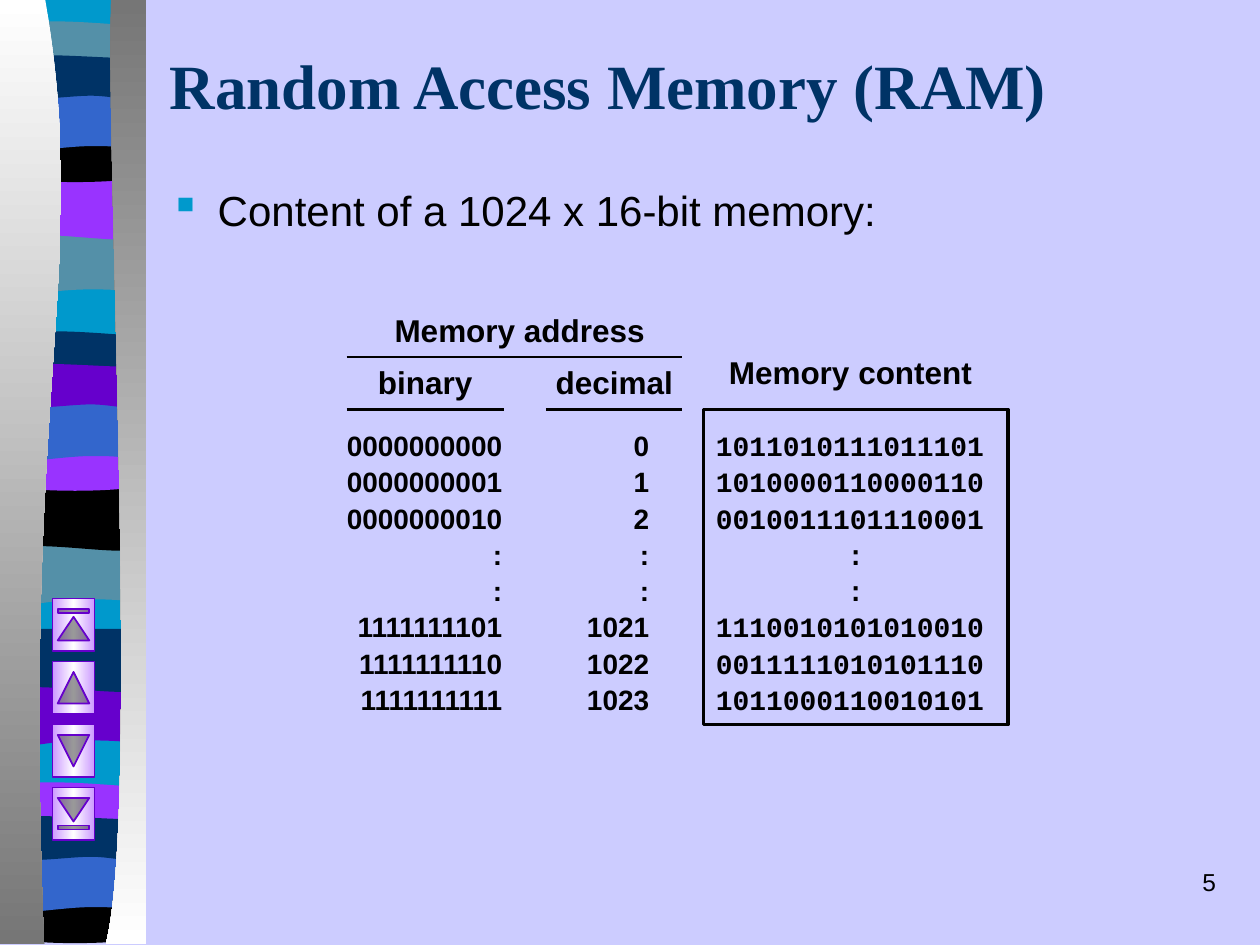
import copy
import dataclasses

import lxml.etree
import pptx
import pptx.dml.color
import pptx.enum.shapes
import pptx.enum.text
import pptx.oxml.ns
import pptx.util

SHAPE = pptx.enum.shapes.MSO_SHAPE
ALIGN = pptx.enum.text.PP_ALIGN
CELL = pptx.util.Inches(1) / 12
FINE_CELL = pptx.util.Inches(0.01)
COLUMNS, ROWS = 120, 90


@dataclasses.dataclass(frozen=True)
class Theme:
    """Colours and text formats of the slide."""
    background: str = "CCCCFF"
    ink: str = "000000"
    navy: str = "003366"
    cyan: str = "0099CC"
    teal: str = "5490A8"
    violet: str = "9933FF"
    purple: str = "6600CC"
    blue: str = "3366CC"
    shade: tuple = ("FFFFFF", "767676")
    button: tuple = ("CC99FF", "FFFFFF", "CC99FF")
    title = {"name": "Times New Roman", "size": pptx.util.Pt(36), "bold": True}
    body = {"name": "Arial", "size": pptx.util.Pt(24), "bold": False}
    heading = {"name": "Arial", "size": pptx.util.Pt(18), "bold": True}
    address = {"name": "Arial", "size": pptx.util.Pt(16), "bold": True}
    content = {"name": "Courier New", "size": pptx.util.Pt(16), "bold": True}
    number = {"name": "Arial", "size": pptx.util.Pt(14), "bold": False}
    pitch = pptx.util.Pt(20.7)


THEME = Theme()
BAND_LEFT, BAND_RIGHT = 5, 114
BAND_EDGES = {
    "tail": ([], 47, [(39, 39, 23, 55, 5, 47)]),
    "swell": ([], 48, [(96, 55, 39, 42, 5, 48)]),
    "cap": ([(12, -5, 29, -4, 47, -4), (65, -4, 100, -1, 114, 0)], 24,
            [(96, 28, 24, 28, 5, 24)]),
    "bowl": ([(72, 5, 91, 0, 114, 0)], 32, [(96, 38, 23, 38, 5, 32)]),
    "arch": ([], 47, [(97, 42, 90, 42, 72, 42), (54, 42, 22, 47, 5, 47)]),
    "ridge": ([(21, -5, 79, 0, 97, 0), (115, 0, 110, 0, 114, 0)], 30,
              [(107, 36, 90, 30, 72, 30), (54, 30, 17, 36, 5, 30)]),
}
BANDS = [
    ("tail", 185, THEME.teal), ("swell", 140, THEME.violet), ("cap", 21, THEME.teal),
    ("bowl", 108, THEME.ink), ("arch", 74, THEME.blue), ("ridge", 46, THEME.navy),
    ("tail", 431, THEME.teal), ("swell", 387, THEME.ink), ("cap", 267, THEME.navy),
    ("bowl", 353, THEME.violet), ("arch", 320, THEME.blue), ("ridge", 291, THEME.purple),
    ("tail", 543, THEME.purple), ("swell", 499, THEME.navy), ("cap", 625, THEME.violet),
    ("bowl", 712, THEME.ink), ("arch", 678, THEME.blue), ("ridge", 650, THEME.navy),
]
CONTENT = ["1011010111011101", "1010000110000110", "0010011101110001", ":", ":",
           "1110010101010010", "0011111010101110", "1011000110010101"]
DECIMAL = ["0", "1", "2", ":", ":", "1021", "1022", "1023"]
BINARY = ["0000000000", "0000000001", "0000000010", ":", ":",
          "1111111101", "1111111110", "1111111111"]


def color(value):
    """Return a colour object for a hexadecimal value."""
    return pptx.dml.color.RGBColor.from_string(value)


def part(box, left, top, width, height):
    """Return a box in cells whose corner is relative to another box."""
    return box[0] + left, box[1] + top, width, height


def emu(box):
    """Turn a box in cells into slide lengths."""
    return [round(length * CELL) for length in box]


def fill_gradient(shape, colors, angle=270):
    """Fill a shape with evenly spaced gradient colours."""
    shape.fill.gradient()
    shape.fill.gradient_angle = angle
    stop_list = shape.fill._fill._gradFill.gsLst
    for _ in colors[2:]:
        stop_list.append(copy.deepcopy(stop_list[0]))
    for index, (stop, value) in enumerate(zip(shape.fill.gradient_stops, colors)):
        stop.color.rgb = color(value)
        stop.position = index / (len(colors) - 1)


def add_text(slide, box, lines, style, ink=THEME.ink, align=ALIGN.LEFT, pitch=None):
    """Write lines of one style in a box and return the text frame."""
    frame = slide.shapes.add_textbox(*emu(box)).text_frame
    frame.word_wrap = True
    for index, line in enumerate(lines):
        paragraph = frame.add_paragraph() if index else frame.paragraphs[0]
        paragraph.alignment = ALIGN.CENTER if line == ":" and align == ALIGN.LEFT else align
        paragraph.line_spacing = pitch
        run = paragraph.add_run()
        run.text = line
        for name, value in style.items():
            setattr(run.font, name, value)
        run.font.color.rgb = color(ink)
    return frame


def add_curved_shape(slide, box, start, segments):
    """Draw an outline of two-number lines and six-number Bezier curves."""
    name = pptx.oxml.ns.qn
    origin = emu(box)[:2]

    def place(point):
        """Turn a point on the fine grid into slide lengths."""
        return [round(origin[axis] + point[axis] * FINE_CELL) for axis in (0, 1)]

    builder = slide.shapes.build_freeform(*place(start), scale=1.0)
    builder.add_line_segments([place(segment[-2:]) for segment in segments], close=True)
    shape = builder.convert_to_shape()
    for line, segment in zip(list(shape._element.iter(name("a:lnTo"))), segments):
        if len(segment) == 6:
            curve = lxml.etree.Element(name("a:cubicBezTo"))
            for index in (0, 2, 4):
                x, y = place(segment[index:index + 2])
                point = lxml.etree.SubElement(curve, name("a:pt"))
                point.set("x", str(x - shape.left))
                point.set("y", str(y - shape.top))
            line.getparent().replace(line, curve)
    shape.shadow.inherit = False
    shape.line.fill.background()
    return shape


def add_ribbon(slide, box):
    """Draw the striped ribbon between its two shaded curtains."""
    base = add_curved_shape(slide, box, (6, 0), [(114, 0), (114, 747), (6, 747)])
    base.fill.solid()
    base.fill.fore_color.rgb = color(THEME.cyan)
    for kind, top, value in BANDS:
        upper, depth, lower = BAND_EDGES[kind]
        edges = [(BAND_RIGHT, depth), *lower, (BAND_LEFT, 0), *upper]
        shifted = [tuple(n + top * (i % 2) for i, n in enumerate(edge)) for edge in edges]
        band = add_curved_shape(slide, box, (BAND_RIGHT, top), shifted)
        band.fill.solid()
        band.fill.fore_color.rgb = color(value)
    left = add_curved_shape(slide, box, (36, 0),
                            [(72, 216, 17, 296, 35, 749), (0, 749), (0, 0)])
    right = add_curved_shape(slide, box, (88, 0),
                             [(84, 125, 111, 646, 84, 749), (116, 749), (116, 0)])
    fill_gradient(left, THEME.shade)
    fill_gradient(right, THEME.shade[::-1])


def add_title(slide, box):
    """Write the slide title."""
    frame = add_text(slide, box, ["Random Access Memory (RAM)"], THEME.title, THEME.navy)
    frame.vertical_anchor = pptx.enum.text.MSO_ANCHOR.MIDDLE


def add_body(slide, box):
    """Write the bulleted line."""
    frame = add_text(slide, box, ["Content of a 1024 x 16-bit memory:"], THEME.body)
    properties = frame.paragraphs[0]._p.get_or_add_pPr()
    indent = pptx.util.Inches(0.38)
    for key, value in {"marL": indent, "indent": -indent}.items():
        properties.set(key, str(int(value)))
    name = pptx.oxml.ns.qn
    bullet_color = lxml.etree.SubElement(properties, name("a:buClr"))
    lxml.etree.SubElement(bullet_color, name("a:srgbClr")).set("val", THEME.cyan)
    lxml.etree.SubElement(properties, name("a:buChar")).set("char", "▪")


def add_memory(slide, box):
    """Draw the address columns, the content frame and their headings."""
    frame = slide.shapes.add_shape(SHAPE.RECTANGLE, *emu(part(box, 36, 10, 29, 30)))
    frame.shadow.inherit = False
    frame.fill.background()
    frame.line.color.rgb = color(THEME.ink)
    frame.line.width = pptx.util.Pt(2)
    for left, width, lines, style, align in (
            (36, 29, CONTENT, THEME.content, ALIGN.LEFT),
            (23, 9, DECIMAL, THEME.address, ALIGN.RIGHT),
            (0, 18, BINARY, THEME.address, ALIGN.RIGHT)):
        add_text(slide, part(box, left, 11, width, 29), lines, style, align=align,
                 pitch=THEME.pitch)
    for text, left, top, width in (("Memory content", 37, 4, 26), ("decimal", 20, 5, 15),
                                   ("binary", 3, 5, 13), ("Memory address", 5, 0, 27)):
        add_text(slide, part(box, left, top, width, 4.8), [text], THEME.heading,
                 align=ALIGN.CENTER)
    for start, end, row in ((2, 34, 5), (2, 17, 10), (21, 34, 10)):
        left, top, width, _ = emu(part(box, start, row, end - start, 0))
        rule = slide.shapes.add_connector(pptx.enum.shapes.MSO_CONNECTOR.STRAIGHT,
                                          left, top, left + width, top)
        rule.line.color.rgb = color(THEME.ink)
        rule.line.width = pptx.util.Pt(1.25)
        lxml.etree.SubElement(rule._element.spPr, pptx.oxml.ns.qn("a:effectLst"))


def add_navigation(slide, box):
    """Stack the four navigation buttons, turned to point up and down."""
    kinds = (SHAPE.ACTION_BUTTON_BEGINNING, SHAPE.ACTION_BUTTON_BACK_OR_PREVIOUS,
             SHAPE.ACTION_BUTTON_FORWARD_OR_NEXT, SHAPE.ACTION_BUTTON_END)
    for index, kind in enumerate(kinds):
        button = slide.shapes.add_shape(kind, *emu(part(box, 0, 6 * index, 5, 4)))
        button.shadow.inherit = False
        button.rotation = 90
        fill_gradient(button, THEME.button)
        button.line.color.rgb = color(THEME.purple)
        button.line.width = pptx.util.Pt(1)


def add_number(slide, box):
    """Write the slide number."""
    add_text(slide, box, ["5"], THEME.number, align=ALIGN.RIGHT)


def main():
    """Build and save the slide."""
    presentation = pptx.Presentation()
    presentation.slide_width = round(COLUMNS * CELL)
    presentation.slide_height = round(ROWS * CELL)
    slide = presentation.slides.add_slide(presentation.slide_layouts[6])
    slide.background.fill.solid()
    slide.background.fill.fore_color.rgb = color(THEME.background)
    for add_region, box in ((add_ribbon, (0, 0, 14, ROWS)), (add_title, (15, 3, 102, 10)),
                            (add_body, (15, 17, 101, 6)), (add_memory, (31, 29, 65, 40)),
                            (add_navigation, (4.5, 57.5, 5, 22)),
                            (add_number, (92, 82, 25, 6))):
        add_region(slide, box)
    presentation.save("out.pptx")


if __name__ == "__main__":
    main()
